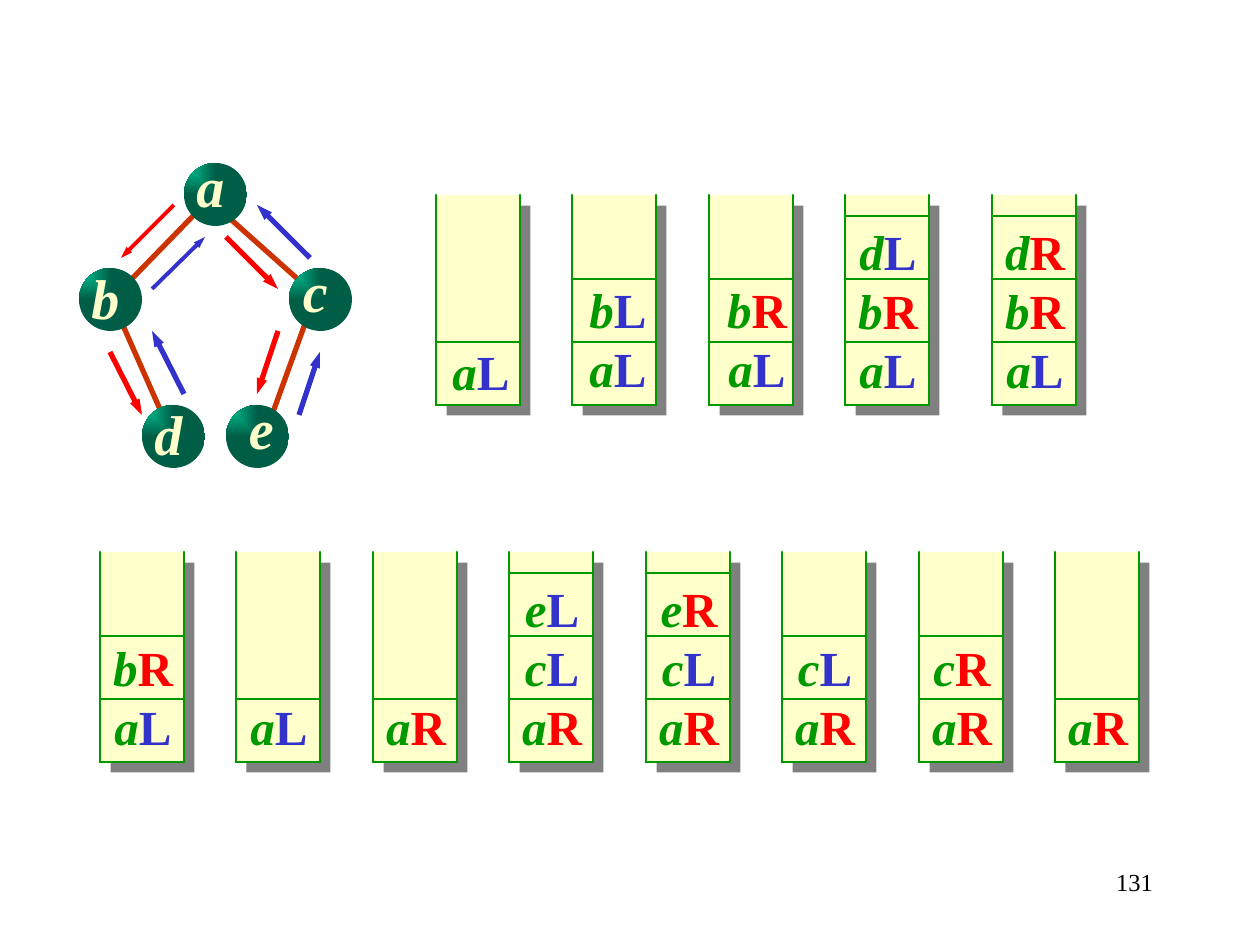
from dataclasses import dataclass

import pptx
import pptx.util
import pptx.dml.color
import pptx.enum.shapes
import pptx.enum.text
import pptx.oxml
import pptx.oxml.ns
from lxml import etree

PX = 914400 / 126
NS = pptx.oxml.ns.nsdecls("a")


@dataclass(frozen=True)
class Theme:
    font: str = "Times New Roman"
    cream: str = "FFFFCC"
    green: str = "009900"
    blue: str = "3333CC"
    red: str = "FF0000"
    brown: str = "CC3300"
    teal: str = "00CC99"
    dark_teal: str = "005E46"
    shadow: str = "808080"
    black: str = "000000"
    node_size: int = 32
    label_size: int = 28
    number_size: int = 14
    leading: float = 1.2


T = Theme()
STACK_W, STACK_H, SLOT_H = 84, 210, 63
STACK_STEP = 136.5
NODE = 63

# Tree: node corner and label box corner
NODES = {
    "a": ((184, 163), (184, 146)),
    "b": ((79, 268), (79, 258)),
    "c": ((289, 268), (289, 251)),
    "d": ((142, 405), (142, 394)),
    "e": ((226, 405), (235, 388)),
}
EDGES = [
    ((310, 310), (268, 426)),
    ((121, 321), (163, 416)),
    ((226, 215), (310, 290)),
    ((194, 215), (121, 290)),
]
# Traversal arrows: start, tip, colour, width
ARROWS = [
    ((174, 205), (121, 258), T.red, 2.25),
    ((110, 352), (142, 415), T.red, 3),
    ((226, 237), (278, 289), T.red, 3),
    ((278, 331), (257, 394), T.red, 3),
    ((184, 394), (152, 331), T.blue, 3),
    ((152, 289), (205, 237), T.blue, 2.25),
    ((299, 415), (320, 352), T.blue, 3),
    ((310, 258), (257, 205), T.blue, 3),
]
# Upper stacks: left edge, entries from the top, label shift
UPPER_TOP, LOWER_TOP, LOWER_LEFT = 195, 552, 100
UPPER = [
    (436, "aL", (3, 2)),
    (572, "bL aL", (4, -1)),
    (709, "bR aL", (6, -1)),
    (845, "dL bR aL", (1, 0)),
    (992, "dR bR aL", (1, 0)),
]
LOWER = ["bR aL", "aL", "aR", "eL cL aR", "eR cL aR", "cL aR", "cR aR", "aR"]


def px(n):
    return pptx.util.Emu(round(n * PX))


def rgb(value):
    return pptx.dml.color.RGBColor.from_string(value)


def add_line(s, start, end, color, width, arrow=False):
    line = s.shapes.add_connector(
        pptx.enum.shapes.MSO_CONNECTOR.STRAIGHT, *map(px, start + end))
    line.line.color.rgb = rgb(color)
    line.line.width = pptx.util.Pt(width)
    ln = line.line._get_or_add_ln()
    if arrow:
        tail = etree.SubElement(ln, pptx.oxml.ns.qn("a:tailEnd"))
        tail.set("type", "triangle")
        tail.set("w", "sm")
        tail.set("len", "med")
    else:
        ln.set("cap", "rnd")
    etree.SubElement(line._element.spPr, pptx.oxml.ns.qn("a:effectLst"))


def add_text(s, box, lines, size, align, anchor, bold=True):
    """Each line is a list of (text, colour, italic) runs."""
    tf = s.shapes.add_textbox(*map(px, box)).text_frame
    tf.word_wrap = True
    tf.margin_left = tf.margin_right = 0
    tf.vertical_anchor = anchor
    for i, runs in enumerate(lines):
        p = tf.paragraphs[0] if i == 0 else tf.add_paragraph()
        p.alignment = align
        p.line_spacing = pptx.util.Pt(size * T.leading)
        p.font.name = T.font
        p.font.size = pptx.util.Pt(size)
        p.font.bold = bold
        for text, color, italic in runs:
            r = p.add_run()
            r.text = text
            r.font.color.rgb = rgb(color)
            r.font.italic = italic


def add_centred(s, box, lines, size):
    add_text(s, box, lines, size, pptx.enum.text.PP_ALIGN.CENTER,
             pptx.enum.text.MSO_ANCHOR.MIDDLE)


def add_node(s, name, corner, label_corner):
    sp = s.shapes.add_shape(pptx.enum.shapes.MSO_SHAPE.OVAL,
                            *map(px, corner + (NODE, NODE)))
    sp.shadow.inherit = False
    sp.line.fill.background()
    # Gradient spreading from the upper left corner
    sp_pr = sp._element.spPr
    sp_pr.find(pptx.oxml.ns.qn("a:prstGeom")).addnext(pptx.oxml.parse_xml(
        f'<a:gradFill {NS} rotWithShape="0"><a:gsLst>'
        f'<a:gs pos="0"><a:srgbClr val="{T.teal}"/></a:gs>'
        f'<a:gs pos="100000"><a:srgbClr val="{T.dark_teal}"/></a:gs></a:gsLst>'
        '<a:path path="rect"><a:fillToRect r="100000" b="100000"/></a:path>'
        '</a:gradFill>'))
    add_centred(s, label_corner + (53, 79), [[(name, T.cream, True)]],
                T.node_size)


def add_stack(s, left, top, entries, shift=(1, 0)):
    right, bottom = left + STACK_W, top + STACK_H
    sp = s.shapes.add_shape(pptx.enum.shapes.MSO_SHAPE.RECTANGLE,
                            *map(px, (left, top, STACK_W, STACK_H)))
    sp.fill.solid()
    sp.fill.fore_color.rgb = rgb(T.cream)
    sp.line.fill.background()
    sp.shadow.inherit = False
    effects = sp._element.spPr.find(pptx.oxml.ns.qn("a:effectLst"))
    effects.append(pptx.oxml.parse_xml(
        f'<a:outerShdw {NS} dist="107950" dir="2700000" algn="ctr" '
        f'rotWithShape="0"><a:srgbClr val="{T.shadow}"/></a:outerShdw>'))

    # Open-topped outline, then a divider above each entry
    for x in (left, right):
        add_line(s, (x, top), (x, bottom), T.green, 1.5)
    names = entries.split()
    for i in range(len(names) + 1):
        y = bottom - i * SLOT_H
        add_line(s, (left, y), (right, y), T.green, 1.5)

    # Entries, resting on the bottom of the stack
    height = 13 + 59 * len(names)
    lines = [[(node, T.green, True),
              (side, T.blue if side == "L" else T.red, False)]
             for node, side in names]
    dx, dy = shift
    add_centred(s, (left + dx, bottom - height + dy, STACK_W, height), lines,
                T.label_size)


def main():
    prs = pptx.Presentation()
    prs.slide_width = pptx.util.Inches(10)
    prs.slide_height = pptx.util.Inches(7.5)
    s = prs.slides.add_slide(prs.slide_layouts[6])

    # Binary tree with its traversal
    for start, end in EDGES:
        add_line(s, start, end, T.brown, 3)
    for name, (corner, label_corner) in NODES.items():
        add_node(s, name, corner, label_corner)
    for start, tip, color, width in ARROWS:
        add_line(s, start, tip, color, width, arrow=True)

    # Stack states
    for left, entries, shift in UPPER:
        add_stack(s, left, UPPER_TOP, entries, shift)
    for i, entries in enumerate(LOWER):
        add_stack(s, int(LOWER_LEFT + i * STACK_STEP), LOWER_TOP, entries)

    # Page number
    add_text(s, (904, 861, 249, 63), [[("131", T.black, False)]],
             T.number_size, pptx.enum.text.PP_ALIGN.RIGHT,
             pptx.enum.text.MSO_ANCHOR.TOP, bold=False)
    prs.save("out.pptx")


if __name__ == "__main__":
    main()
